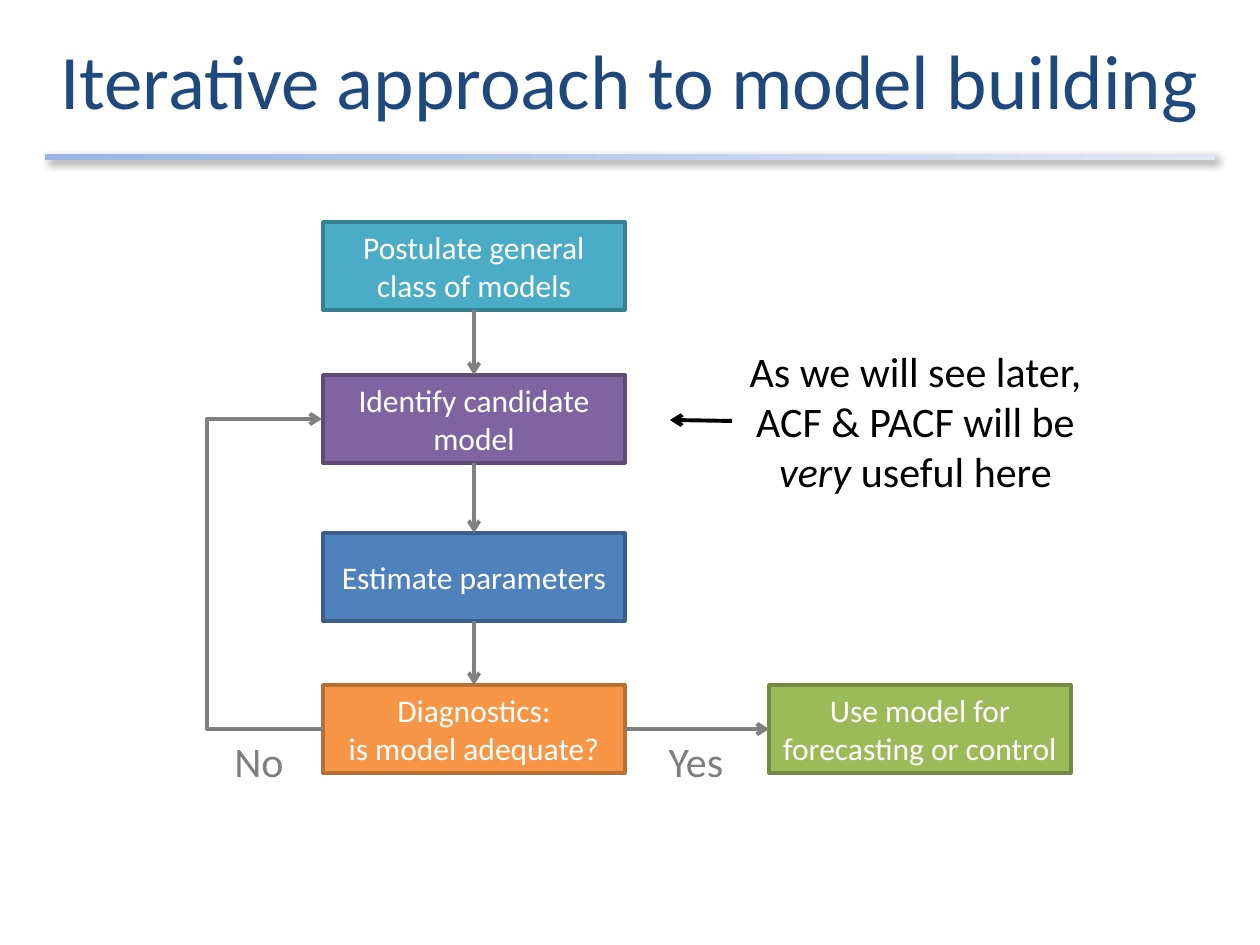
from pptx import Presentation
from pptx.dml.color import RGBColor
from pptx.enum.shapes import MSO_CONNECTOR, MSO_SHAPE
from pptx.enum.text import MSO_ANCHOR, PP_ALIGN
from pptx.oxml import parse_xml
from pptx.oxml.ns import nsdecls
from pptx.util import Pt

RECT = MSO_SHAPE.RECTANGLE
LINE, ELBOW = MSO_CONNECTOR.STRAIGHT, MSO_CONNECTOR.ELBOW
MID, TOP = MSO_ANCHOR.MIDDLE, MSO_ANCHOR.TOP
CENTER = PP_ALIGN.CENTER
BOTTOM, LEFT, RIGHT, UP = 2, 1, 3, 0
SCALE = 914400 / 126

THEME = {
    "font": "Calibri", "title": "1F497D", "white": "FFFFFF", "black": "000000",
    "label": "7F7F7F", "arrow": "808080", "rule": ("9AB5E4", "E1E8F5"),
    "big": 44, "note": 24, "box": 18, "edge": 2, "stroke": 2.25,
}

TITLE = "Iterative approach to model building"
COL, NEXT, WIDE, HIGH = 323, 769, 302, 88
STEPS = [
    (COL, 222, ["Postulate general class of models"], "4BACC6", "377F92"),
    (COL, 375, ["Identify candidate model"], "8064A2", "5F4A78"),
    (COL, 533, ["Estimate parameters"], "4F81BD", "3A5F8C"),
    (COL, 685, ["Diagnostics:", "is model adequate?"], "F79646", "B76F34"),
    (NEXT, 685, ["Use model for forecasting or control"], "9BBB59", "738A42"),
]
LINKS = [(0, BOTTOM, 1, UP), (1, BOTTOM, 2, UP), (2, BOTTOM, 3, UP),
         (3, RIGHT, 4, LEFT)]
LABELS = [("No", 215), ("Yes", 652)]
NOTE = [[("As we will see later, ACF & PACF will be ", False),
         ("very", True), (" useful here", False)]]
LOOP = 117


def px(*nums):
    return [round(n * SCALE) for n in nums]


def rgb(code):
    return RGBColor.from_string(code)


def write(shape, paras, size, color, anchor=MID):
    frame = shape.text_frame
    frame.word_wrap = True
    frame.vertical_anchor = anchor
    for i, text in enumerate(paras):
        para = frame.paragraphs[0] if i == 0 else frame.add_paragraph()
        para.alignment = CENTER
        runs = [(text, False)] if isinstance(text, str) else text
        for part, slant in runs:
            run = para.add_run()
            run.text = part
            font = run.font
            font.name, font.size = THEME["font"], Pt(size)
            font.color.rgb = rgb(color)
            if slant:
                font.italic = True


def arrow(slide, ends, color, kind=LINE):
    line = slide.shapes.add_connector(kind, *px(*ends))
    line.line.color.rgb = rgb(color)
    line.line.width = Pt(THEME["stroke"])
    line.line._get_or_add_ln().append(
        parse_xml(f'<a:tailEnd {nsdecls("a")} type="arrow"/>'))
    line._element.spPr.append(parse_xml(f'<a:effectLst {nsdecls("a")}/>'))
    return line


def rule(slide):
    bar = slide.shapes.add_shape(RECT, *px(45, 154, 1170, 6))
    bar.line.fill.background()
    bar.fill.gradient()
    bar.fill.gradient_angle = 0
    for stop, code in zip(bar.fill.gradient_stops, THEME["rule"]):
        stop.color.rgb = rgb(code)
    bar._element.spPr.append(parse_xml(
        f'<a:effectLst {nsdecls("a")}><a:outerShdw blurRad="{Pt(5)}" '
        f'dist="{Pt(3)}" dir="2700000"><a:srgbClr val="{THEME["black"]}">'
        '<a:alpha val="40000"/></a:srgbClr></a:outerShdw></a:effectLst>'))


def step(slide, left, top, text, fill, edge):
    box = slide.shapes.add_shape(RECT, *px(left, top, WIDE, HIGH))
    box.shadow.inherit = False
    box.fill.solid()
    box.fill.fore_color.rgb = rgb(fill)
    box.line.color.rgb = rgb(edge)
    box.line.width = Pt(THEME["edge"])
    write(box, text, THEME["box"], THEME["white"])
    return box


def main():
    prs = Presentation()
    prs.slide_width, prs.slide_height = px(1260, 945)
    slide = prs.slides.add_slide(prs.slide_layouts[5])
    title = slide.shapes.title
    title.left, title.top, title.width, title.height = px(0, 0, 1260, 158)
    write(title, [TITLE], THEME["big"], THEME["title"])
    rule(slide)

    boxes = [step(slide, *item) for item in STEPS]
    for src, out, dest, into in LINKS:
        line = arrow(slide, (0, 0, 0, 0), THEME["arrow"])
        line.begin_connect(boxes[src], out)
        line.end_connect(boxes[dest], into)

    low, high = (STEPS[i][1] + HIGH // 2 for i in (3, 1))
    loop = arrow(slide, (COL, low, COL - 1, high), THEME["arrow"], ELBOW)
    loop._element.spPr.prstGeom.get_or_add_avLst().append(parse_xml(
        f'<a:gd {nsdecls("a")} name="adj1" fmla="val {LOOP * 100000}"/>'))

    for text, left in LABELS:
        label = slide.shapes.add_textbox(*px(left, low, 88, 64))
        write(label, [text], THEME["note"], THEME["label"])

    note = slide.shapes.add_textbox(*px(732, 339, 367, 165))
    write(note, NOTE, THEME["note"], THEME["black"], TOP)
    arrow(slide, (732, 421, 670, 420), THEME["black"])
    prs.save("out.pptx")


if __name__ == "__main__":
    main()
